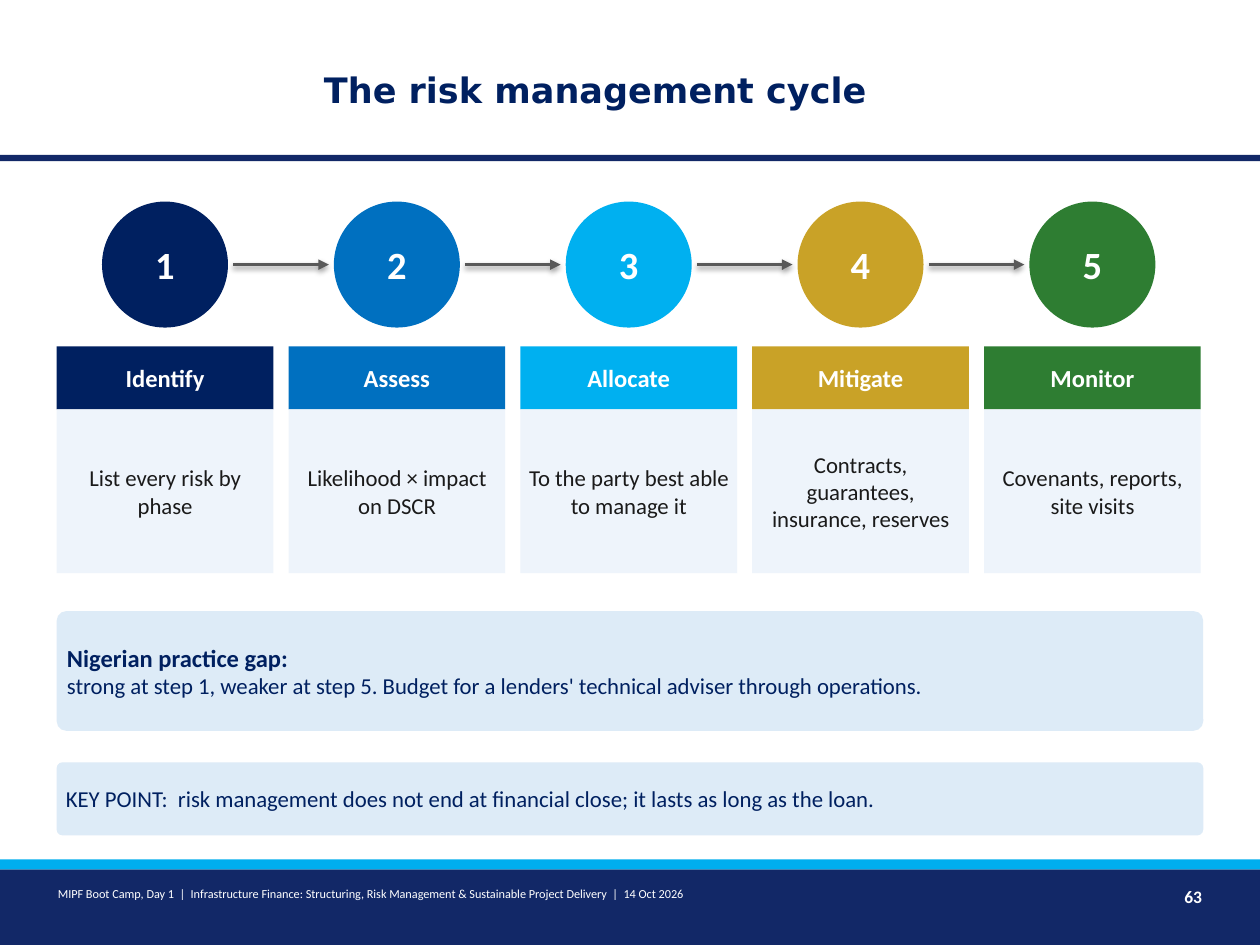
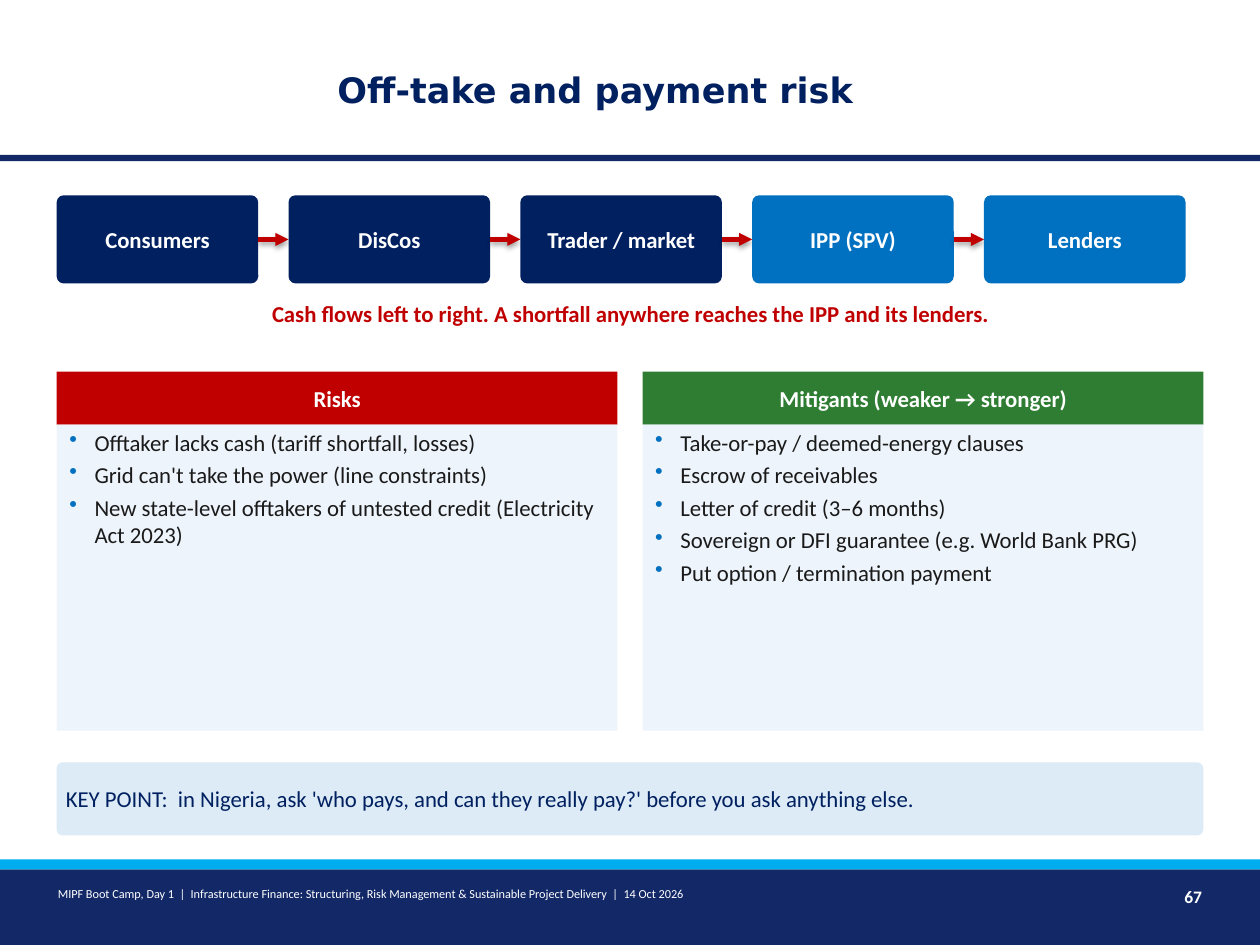
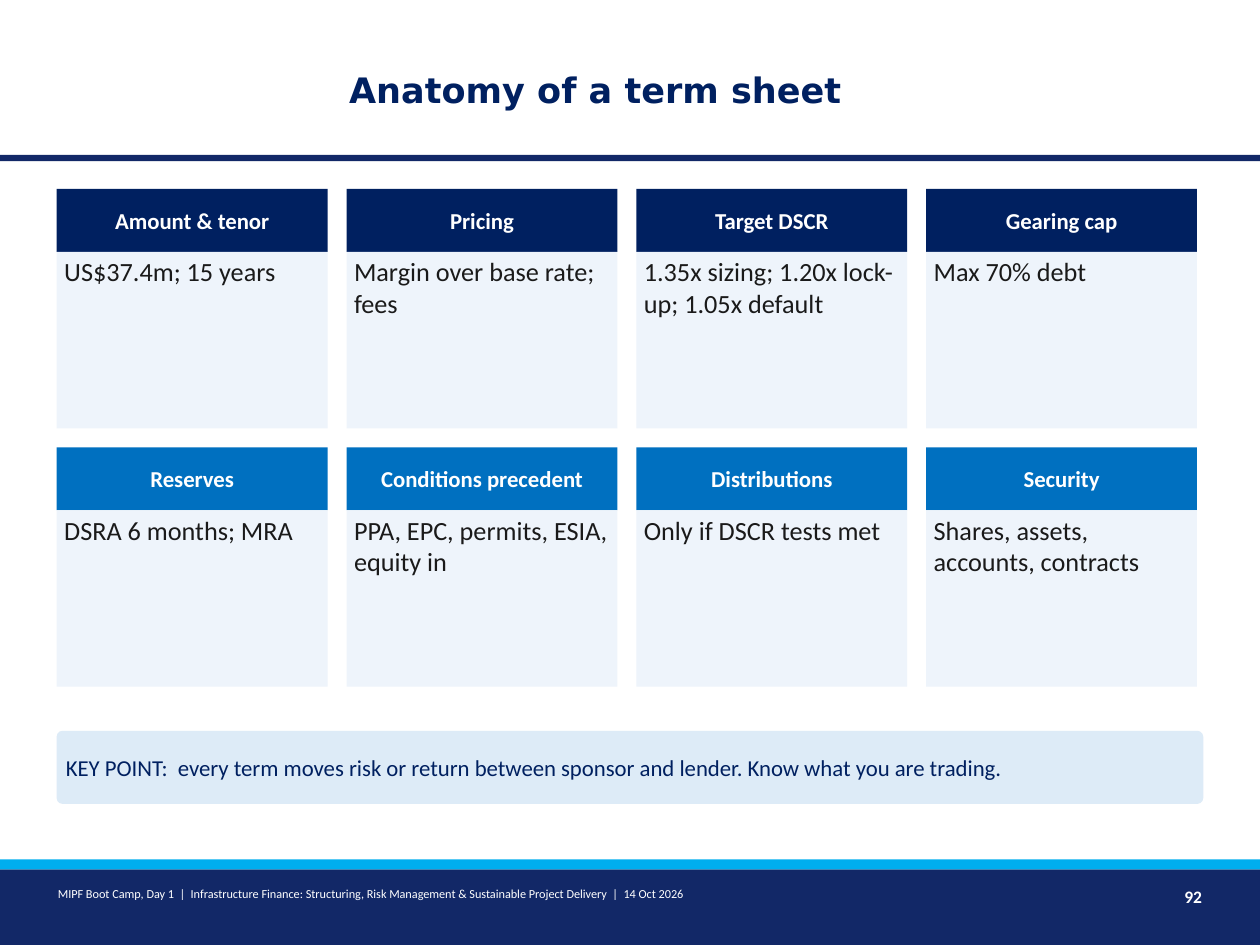
from dataclasses import dataclass

import lxml.etree
import pptx
import pptx.dml.color
import pptx.enum.shapes
import pptx.enum.text
import pptx.oxml.ns
import pptx.util

Inches = pptx.util.Inches
Shapes = pptx.enum.shapes.MSO_SHAPE
Align = pptx.enum.text.PP_ALIGN
Anchor = pptx.enum.text.MSO_ANCHOR

# Shared colours, fonts and measures
NAVY, BLUE, CYAN = "002060", "0070C0", "00B0F0"
GOLD, GREEN, RED, GREY = "C9A227", "2E7D32", "C00000", "595959"
BAND, BAND_EDGE = "122867", "00AEEF"
PANEL, CALLOUT, INK, WHITE = "EEF4FB", "DDEBF7", "1A1A1A", "FFFFFF"
BODY_FONT, TITLE_FONT = "Calibri", "DejaVu Sans"
MARGIN, CONTENT_WIDTH = 0.45, 9.1
STEP_PITCH = 1.84
FOOTER = ("MIPF Boot Camp, Day 1  |  Infrastructure Finance: Structuring, Risk Management "
          "& Sustainable Project Delivery  |  14 Oct 2026")


@dataclass
class Box:
    left: float
    top: float
    width: float
    height: float


@dataclass
class Style:
    size: float = 13
    color: str = INK
    bold: bool = False
    align: Align = Align.LEFT
    font: str = BODY_FONT
    space_after: float = 0
    bullet: bool = False


@dataclass
class Card:
    heading: str
    lines: list[str]
    color: str


HEADING = Style(color=WHITE, bold=True, align=Align.CENTER)
STEP_HEADING = Style(14, WHITE, True, Align.CENTER)
STEP_NUMBER = Style(22, WHITE, True, Align.CENTER)
STEP_TEXT = Style(align=Align.CENTER)
BULLETS = Style(space_after=3, bullet=True)
TERM_TEXT = Style(15, space_after=3)
CALLOUT_TEXT = Style(color=NAVY)
CALLOUT_LEAD = Style(14, NAVY, True)
TITLE = Style(20, NAVY, True, Align.CENTER, TITLE_FONT)


def rgb(color: str) -> pptx.dml.color.RGBColor:
    return pptx.dml.color.RGBColor.from_string(color)


def place(shape, box: Box) -> None:
    shape.left, shape.top = Inches(box.left), Inches(box.top)
    shape.width, shape.height = Inches(box.width), Inches(box.height)


# Text
def add_bullet(paragraph) -> None:
    properties = paragraph._p.get_or_add_pPr()
    properties.set("marL", str(Inches(0.24)))
    properties.set("indent", str(Inches(-0.2)))
    qn = pptx.oxml.ns.qn
    bullet_color = lxml.etree.SubElement(properties, qn("a:buClr"))
    lxml.etree.SubElement(bullet_color, qn("a:srgbClr"), val=BLUE)
    lxml.etree.SubElement(properties, qn("a:buChar"), char="•")


def format_paragraph(paragraph, style: Style) -> None:
    if style.bullet:
        add_bullet(paragraph)
    paragraph.alignment = style.align
    if style.space_after:
        paragraph.space_after = pptx.util.Pt(style.space_after)
    font = paragraph.font
    font.name, font.size, font.bold = style.font, pptx.util.Pt(style.size), style.bold
    font.color.rgb = rgb(style.color)


def write(shape, lines: list[str], style: Style, anchor: Anchor,
          lead: Style | None = None) -> None:
    frame = shape.text_frame
    frame.word_wrap = True
    frame.vertical_anchor = anchor
    frame.margin_left = frame.margin_right = Inches(0.06)
    frame.margin_top = frame.margin_bottom = Inches(0.03)
    for index, line in enumerate(lines):
        paragraph = frame.paragraphs[0] if index == 0 else frame.add_paragraph()
        paragraph.text = line
        format_paragraph(paragraph, lead if lead and index == 0 else style)


# Shapes
def add_block(slide, box: Box, color: str, kind: Shapes = Shapes.RECTANGLE):
    shape = slide.shapes.add_shape(kind, 0, 0, 0, 0)
    place(shape, box)
    shape.shadow.inherit = False
    shape.fill.solid()
    shape.fill.fore_color.rgb = rgb(color)
    shape.line.fill.background()
    if kind == Shapes.ROUNDED_RECTANGLE:
        shape.adjustments[0] = 0.08
    return shape


def add_label(slide, box: Box, text: str, style: Style) -> None:
    label = slide.shapes.add_textbox(0, 0, 0, 0)
    place(label, box)
    write(label, [text], style, Anchor.TOP)
    label.text_frame.auto_size = pptx.enum.text.MSO_AUTO_SIZE.SHAPE_TO_FIT_TEXT


def add_arrow(slide, start: float, end: float, y: float, color: str, width: float) -> None:
    """Draw a horizontal arrow that keeps the soft shadow of the theme."""
    arrow = slide.shapes.add_connector(
        pptx.enum.shapes.MSO_CONNECTOR.STRAIGHT,
        Inches(start), Inches(y), Inches(end), Inches(y))
    arrow.line.color.rgb = rgb(color)
    arrow.line.width = pptx.util.Pt(width)
    lxml.etree.SubElement(arrow.line._get_or_add_ln(),
                          pptx.oxml.ns.qn("a:tailEnd"), type="triangle")


def add_card(slide, box: Box, heading_height: float, card: Card, heading: Style,
             body: Style, anchor: Anchor = Anchor.TOP) -> None:
    header = add_block(slide, Box(box.left, box.top, box.width, heading_height), card.color)
    write(header, [card.heading], heading, Anchor.MIDDLE)
    panel = add_block(slide, Box(box.left, box.top + heading_height, box.width,
                                 box.height - heading_height), PANEL)
    write(panel, card.lines, body, anchor)


def add_callout(slide, top: float, height: float, lines: list[str],
                lead: Style | None = None) -> None:
    callout = add_block(slide, Box(MARGIN, top, CONTENT_WIDTH, height),
                        CALLOUT, Shapes.ROUNDED_RECTANGLE)
    write(callout, lines, CALLOUT_TEXT, Anchor.MIDDLE, lead)


def add_key_point(slide, text: str, top: float = 6.05) -> None:
    add_callout(slide, top, 0.58, [f"KEY POINT:  {text}"])


# Title, bands and footer of every slide
def add_slide(presentation, title: str, number: int):
    slide = presentation.slides.add_slide(presentation.slide_layouts.get_by_name("Title Only"))
    place(slide.shapes.title, Box(2.3, 0.22, 4.85, 0.98))
    frame = slide.shapes.title.text_frame
    frame.text = title
    frame.vertical_anchor = Anchor.MIDDLE
    format_paragraph(frame.paragraphs[0], TITLE)
    for top, height, color in ((1.23, 0.05, BAND), (6.9, 0.6, BAND), (6.82, 0.08, BAND_EDGE)):
        add_block(slide, Box(0, top, 10, height), color)
    add_label(slide, Box(0.4, 7, 6.8, 0.35), FOOTER, Style(7, WHITE))
    add_label(slide, Box(9, 7, 0.6, 0.35), str(number), Style(10, WHITE, True, Align.RIGHT))
    return slide


# Slide: risk management cycle
def build_risk_cycle(presentation) -> None:
    slide = add_slide(presentation, "The risk management cycle", 63)
    steps = [
        Card("Identify", ["List every risk by phase"], NAVY),
        Card("Assess", ["Likelihood × impact on DSCR"], BLUE),
        Card("Allocate", ["To the party best able to manage it"], CYAN),
        Card("Mitigate", ["Contracts, guarantees, insurance, reserves"], GOLD),
        Card("Monitor", ["Covenants, reports, site visits"], GREEN),
    ]
    card_width, diameter, arrow_gap = 1.72, 1, 0.04
    for index, step in enumerate(steps):
        left = MARGIN + index * STEP_PITCH
        circle_left = left + (card_width - diameter) / 2
        circle = add_block(slide, Box(circle_left, 1.6, diameter, diameter),
                           step.color, Shapes.OVAL)
        write(circle, [str(index + 1)], STEP_NUMBER, Anchor.MIDDLE)
        add_card(slide, Box(left, 2.75, card_width, 1.8), 0.5, step,
                 STEP_HEADING, STEP_TEXT, Anchor.MIDDLE)
        if index < len(steps) - 1:
            add_arrow(slide, circle_left + diameter + arrow_gap,
                      circle_left + STEP_PITCH - arrow_gap, 2.1, GREY, 2)
    add_callout(slide, 4.85, 0.95, [
        "Nigerian practice gap:",
        "strong at step 1, weaker at step 5. Budget for a lenders' technical adviser "
        "through operations.",
    ], CALLOUT_LEAD)
    add_key_point(slide, "risk management does not end at financial close; "
                         "it lasts as long as the loan.")


# Slide: off-take and payment risk
def build_payment_risk(presentation) -> None:
    slide = add_slide(presentation, "Off-take and payment risk", 67)
    payers = [("Consumers", NAVY), ("DisCos", NAVY), ("Trader / market", NAVY),
              ("IPP (SPV)", BLUE), ("Lenders", BLUE)]
    payer_width = 1.6
    for index, (name, color) in enumerate(payers):
        left = MARGIN + index * STEP_PITCH
        payer = add_block(slide, Box(left, 1.55, payer_width, 0.7),
                          color, Shapes.ROUNDED_RECTANGLE)
        write(payer, [name], HEADING, Anchor.MIDDLE)
        if index < len(payers) - 1:
            add_arrow(slide, left + payer_width, left + STEP_PITCH, 1.9, RED, 2.5)
    add_label(slide, Box(MARGIN, 2.35, CONTENT_WIDTH, 0.45),
              "Cash flows left to right. A shortfall anywhere reaches the IPP and its lenders.",
              Style(color=RED, bold=True, align=Align.CENTER, space_after=4))

    columns = [
        Card("Risks", [
            "Offtaker lacks cash (tariff shortfall, losses)",
            "Grid can't take the power (line constraints)",
            "New state-level offtakers of untested credit (Electricity Act 2023)",
        ], RED),
        Card("Mitigants (weaker → stronger)", [
            "Take-or-pay / deemed-energy clauses",
            "Escrow of receivables",
            "Letter of credit (3–6 months)",
            "Sovereign or DFI guarantee (e.g. World Bank PRG)",
            "Put option / termination payment",
        ], GREEN),
    ]
    for index, column in enumerate(columns):
        add_card(slide, Box(MARGIN + index * 4.65, 2.95, 4.45, 2.85), 0.42,
                 column, HEADING, BULLETS)
    add_key_point(slide, "in Nigeria, ask 'who pays, and can they really pay?' "
                         "before you ask anything else.")


# Slide: anatomy of a term sheet
def build_term_sheet(presentation) -> None:
    slide = add_slide(presentation, "Anatomy of a term sheet", 92)
    terms = [
        Card("Amount & tenor", ["US$37.4m; 15 years"], NAVY),
        Card("Pricing", ["Margin over base rate; fees"], NAVY),
        Card("Target DSCR", ["1.35x sizing; 1.20x lock-up; 1.05x default"], NAVY),
        Card("Gearing cap", ["Max 70% debt"], NAVY),
        Card("Reserves", ["DSRA 6 months; MRA"], BLUE),
        Card("Conditions precedent", ["PPA, EPC, permits, ESIA, equity in"], BLUE),
        Card("Distributions", ["Only if DSCR tests met"], BLUE),
        Card("Security", ["Shares, assets, accounts, contracts"], BLUE),
    ]
    width, height, gap = 2.15, 1.9, 0.15
    for index, term in enumerate(terms):
        row, column = divmod(index, 4)
        box = Box(MARGIN + column * (width + gap), 1.5 + row * (height + gap), width, height)
        add_card(slide, box, 0.5, term, HEADING, TERM_TEXT)
    add_key_point(slide, "every term moves risk or return between sponsor and lender. "
                         "Know what you are trading.", top=5.8)


def main() -> None:
    presentation = pptx.Presentation()
    presentation.slide_width, presentation.slide_height = Inches(10), Inches(7.5)
    build_risk_cycle(presentation)
    build_payment_risk(presentation)
    build_term_sheet(presentation)
    presentation.save("out.pptx")


if __name__ == "__main__":
    main()
